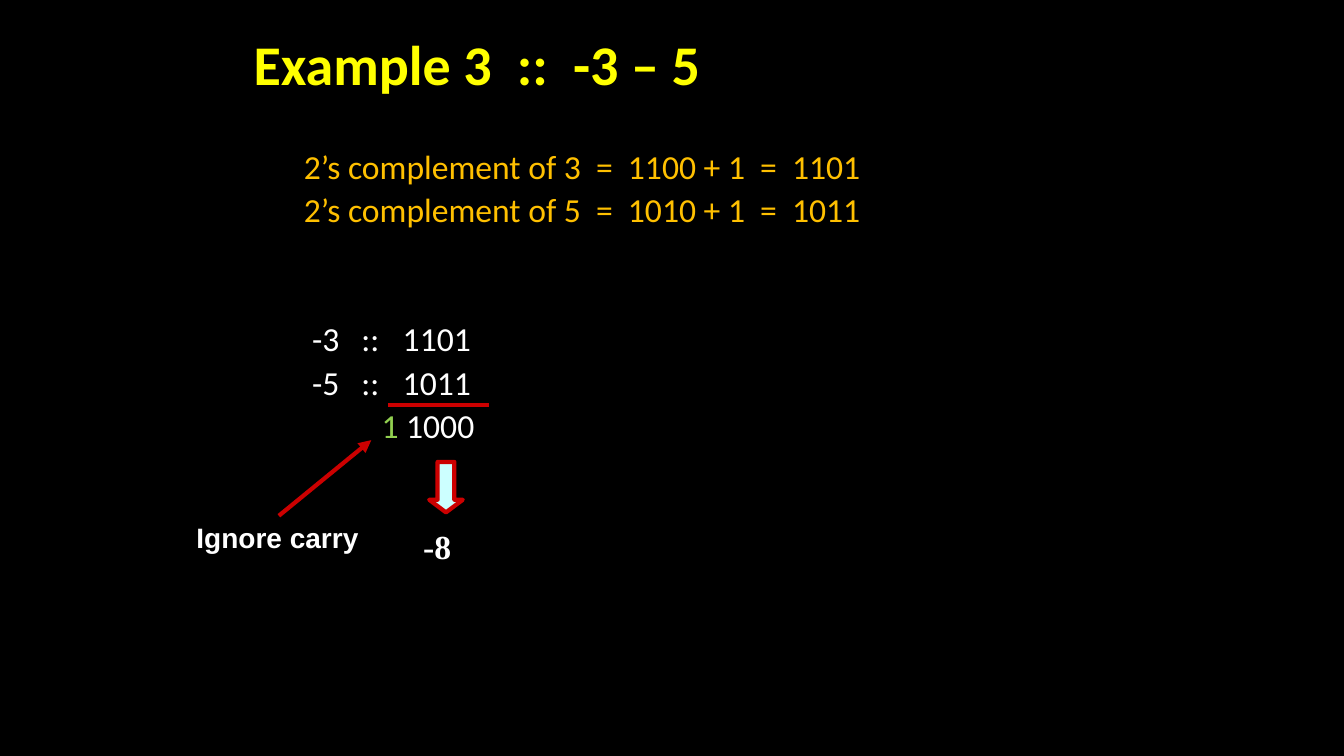
from lxml.etree import SubElement
from pptx import Presentation
from pptx.dml.color import RGBColor
from pptx.enum.shapes import MSO_CONNECTOR, MSO_SHAPE
from pptx.enum.text import MSO_ANCHOR, MSO_AUTO_SIZE
from pptx.oxml.ns import qn
from pptx.util import Inches, Pt

COLORS = {
    "black": "000000", "white": "FFFFFF", "yellow": "FFFF00", "gold": "FFC000",
    "green": "92D050", "red": "CC0000", "ice": "CCFFFF",
}


class Board:
    """Current slide on a grid of 80 columns by 45 rows."""

    columns, rows = 80, 45
    line_width = Pt(3)

    def __init__(self, prs):
        self.cell_w = prs.slide_width / self.columns
        self.cell_h = prs.slide_height / self.rows
        self.s = prs.slides.add_slide(prs.slide_layouts[6])
        fill = self.s.background.fill
        fill.solid()
        fill.fore_color.rgb = self.color("black")

    def color(self, name):
        return RGBColor.from_string(COLORS[name])

    def place(self, col, row, *more):
        sizes = (self.cell_w, self.cell_h) * 2
        return [round(n * size) for n, size in zip((col, row, *more), sizes)]

    def box(self, *cells, anchor=MSO_ANCHOR.TOP, grow=False):
        tf = self.s.shapes.add_textbox(*self.place(*cells)).text_frame
        tf.word_wrap = True
        tf.vertical_anchor = anchor
        if grow:
            tf.auto_size = MSO_AUTO_SIZE.SHAPE_TO_FIT_TEXT
        return tf

    def set_text(self, p, text, size, color, font="Calibri", bold=False):
        p.text = text
        p.font.size, p.font.name, p.font.bold = Pt(size), font, bold
        p.font.color.rgb = self.color(color)

    def label(self, cells, text, size, font):
        tf = self.box(*cells, grow=True)
        self.set_text(tf.paragraphs[0], text, size, "white", font, True)

    def body_line(self, p, text, color, stops, before=5):
        self.set_text(p, text, 24, color)
        p.line_spacing = 0.9
        p.space_before = Pt(before)
        p_pr = p._p.get_or_add_pPr()
        tabs = SubElement(p_pr, qn("a:tabLst"))
        for stop in stops:
            SubElement(tabs, qn("a:tab"), pos=str(Inches(stop)), algn="l")
        # Schema order: tab stops come before the default run properties
        p_pr.find(qn("a:defRPr")).addprevious(tabs)

    def line(self, start, end, arrow=False):
        sp = self.s.shapes.add_connector(
            MSO_CONNECTOR.STRAIGHT, *self.place(*start), *self.place(*end))
        sp.line.color.rgb = self.color("red")
        sp.line.width = self.line_width
        sp_pr = sp._element.spPr
        if arrow:
            SubElement(sp_pr.find(qn("a:ln")), qn("a:tailEnd"), type="triangle")
        SubElement(sp_pr, qn("a:effectLst"))

    def down_arrow(self, *cells):
        sp = self.s.shapes.add_shape(MSO_SHAPE.DOWN_ARROW, *self.place(*cells))
        sp.adjustments[0], sp.adjustments[1] = 0.5, 0.375
        sp.shadow.inherit = False
        sp.fill.solid()
        sp.fill.fore_color.rgb = self.color("ice")
        sp.line.color.rgb = self.color("red")
        sp.line.width = self.line_width


def main():
    prs = Presentation()
    prs.slide_width, prs.slide_height = Inches(13.33), Inches(7.5)
    board = Board(prs)

    # Title
    tf = board.box(14.5, 2, 51, 4, anchor=MSO_ANCHOR.MIDDLE)
    p = tf.paragraphs[0]
    board.set_text(p, "Example 3  ::  -3 – 5", 40, "yellow", bold=True)
    p.line_spacing = 0.9

    # Complements and the sum, aligned on tab stops
    tf = board.box(14.5, 8.65, 51, 31)
    sum_stops = (0.58, 1.07, 1.48)
    lines = [
        ("\t2’s complement of 3  =  1100 + 1  =  1101", "gold", (0.5,), 5),
        ("\t2’s complement of 5  =  1010 + 1  =  1011", "gold", (0.5,), 5),
        ("\t-3\t::\t1101", "white", sum_stops, 66.5),
        ("\t-5\t::\t1011", "white", sum_stops, 5),
        ("\t1", "green", (1.27,), 5),
    ]
    for i, (text, color, stops, before) in enumerate(lines):
        p = tf.add_paragraph() if i else tf.paragraphs[0]
        board.body_line(p, text, color, stops, before)
    r = p.add_run()
    r.text = " 1000"
    r.font.color.rgb = board.color("white")

    # Sum line
    board.line((23.1, 24.1), (29.1, 24.1))

    # Carry note
    board.line((16.6, 30.7), (22.1, 26.2), arrow=True)
    board.label((11.1, 30.7, 11.5, 2.6), "Ignore carry", 20, "Arial")

    # Result
    board.down_arrow(25.55, 27.5, 2, 3)
    board.label((24.6, 31, 4, 3), "-8", 24, "Times New Roman")

    prs.save("out.pptx")


if __name__ == "__main__":
    main()
